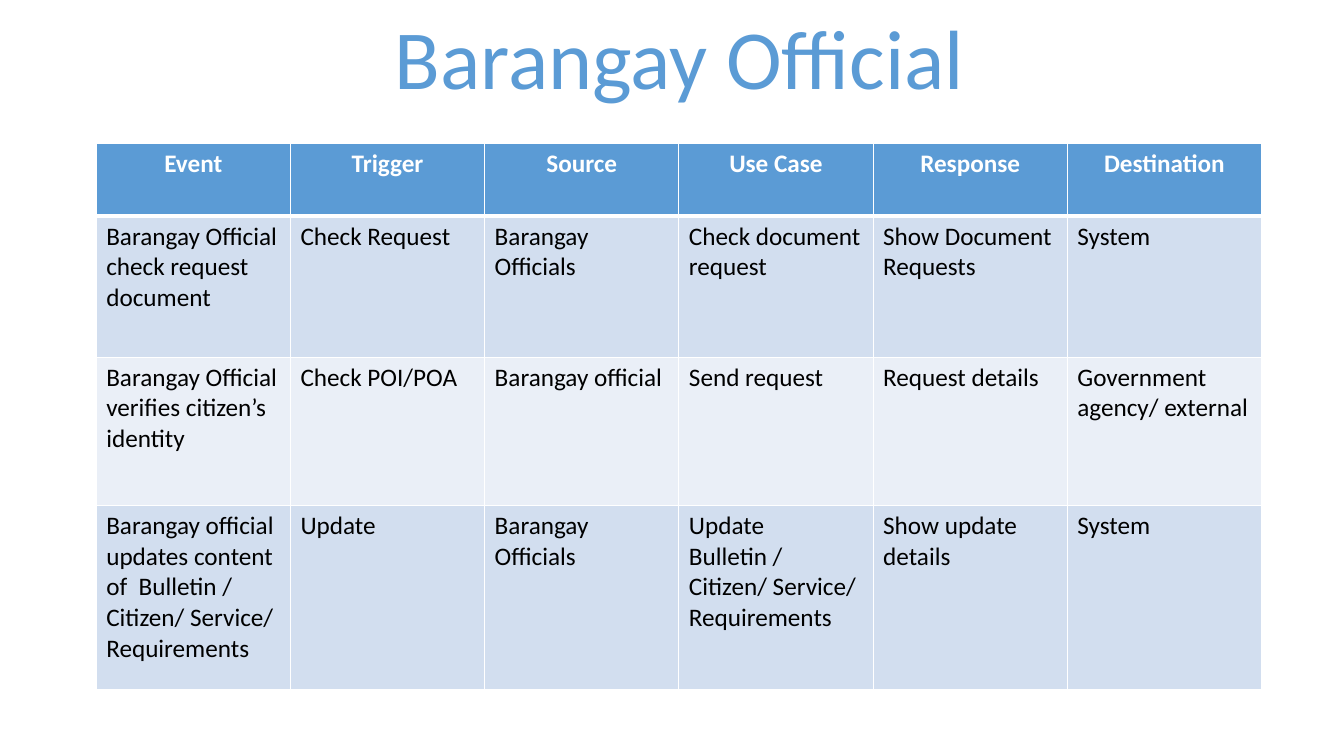
from dataclasses import dataclass

from lxml.etree import SubElement
from pptx import Presentation
from pptx.dml.color import RGBColor as Color
from pptx.enum.text import MSO_ANCHOR as Anchor
from pptx.enum.text import MSO_AUTO_SIZE as AutoSize
from pptx.enum.text import PP_ALIGN as Align
from pptx.oxml.ns import qn
from pptx.util import Pt


@dataclass(frozen=True)
class Theme:
    font: str = "Calibri"
    accent: str = "5B9BD5"
    white: str = "FFFFFF"
    black: str = "000000"
    bands: tuple = ("D2DEEF", "EAEFF7")
    title_size: int = 60
    table_size: int = 18
    thin: int = 1
    thick: int = 3


THEME = Theme()
HEADINGS = ["Event", "Trigger", "Source", "Use Case", "Response", "Destination"]
EVENTS = [
    ["Barangay Official check request document", "Check Request", "Barangay Officials",
     "Check document request", "Show Document Requests", "System"],
    ["Barangay Official verifies citizen’s identity", "Check POI/POA", "Barangay official",
     "Send request", "Request details", "Government agency/ external"],
    ["Barangay official updates content of  Bulletin / Citizen/ Service/\nRequirements",
     "Update", "Barangay Officials",
     "Update Bulletin / Citizen/ Service/\nRequirements", "Show update details", "System"],
]
COLUMN_WIDTH = 138.75
ROW_HEIGHTS = [51.84, 100.8, 105.84, 131.76]


def set_values(target, values):
    for name, value in values.items():
        setattr(target, name, value)


def format_text(frame, size, color, bold=False, align=Align.LEFT):
    for para in frame.paragraphs:
        para.alignment = align
        for span in para.runs:
            set_values(span.font, {"name": THEME.font, "size": Pt(size), "bold": bold})
            span.font.color.rgb = Color.from_string(color)


def add_title(page, text):
    title = page.shapes.title
    set_values(title, {"left": Pt(272.2), "top": Pt(0), "width": Pt(426.2), "height": Pt(80)})
    frame = title.text_frame
    frame.text = text
    set_values(frame, {"word_wrap": False, "auto_size": AutoSize.SHAPE_TO_FIT_TEXT,
                       "vertical_anchor": Anchor.TOP})
    format_text(frame, THEME.title_size, THEME.accent, align=Align.CENTER)


def set_borders(cell, widths):
    properties = cell._tc.get_or_add_tcPr()
    for side, width in widths.items():
        line = SubElement(properties, qn(f"a:ln{side}"), w=str(Pt(width)))
        fill = SubElement(line, qn("a:solidFill"))
        SubElement(fill, qn("a:srgbClr"), val=THEME.white)


def fill_cell(cell, text, row):
    header = row == 0
    cell.text_frame.text = text
    set_borders(cell, {"L": THEME.thin, "R": THEME.thin,
                       "T": THEME.thick if row == 1 else THEME.thin,
                       "B": THEME.thick if header else THEME.thin})
    cell.fill.solid()
    background = THEME.accent if header else THEME.bands[(row - 1) % 2]
    cell.fill.fore_color.rgb = Color.from_string(background)
    format_text(cell.text_frame, THEME.table_size,
                THEME.white if header else THEME.black, header,
                Align.CENTER if header else Align.LEFT)


def add_event_table(page, rows):
    columns = len(rows[0])
    table = page.shapes.add_table(
        len(rows), columns, Pt(68.75), Pt(102.5),
        Pt(COLUMN_WIDTH * columns), Pt(sum(ROW_HEIGHTS))).table
    for column in table.columns:
        column.width = Pt(COLUMN_WIDTH)
    for row, (texts, height) in enumerate(zip(rows, ROW_HEIGHTS)):
        table.rows[row].height = Pt(height)
        for column, text in enumerate(texts):
            fill_cell(table.cell(row, column), text, row)


def main():
    deck = Presentation()
    set_values(deck, {"slide_width": Pt(960), "slide_height": Pt(540)})
    page = deck.slides.add_slide(deck.slide_layouts.get_by_name("Title Only"))
    add_event_table(page, [HEADINGS, *EVENTS])
    add_title(page, "Barangay Official")
    deck.save("out.pptx")


if __name__ == "__main__":
    main()
